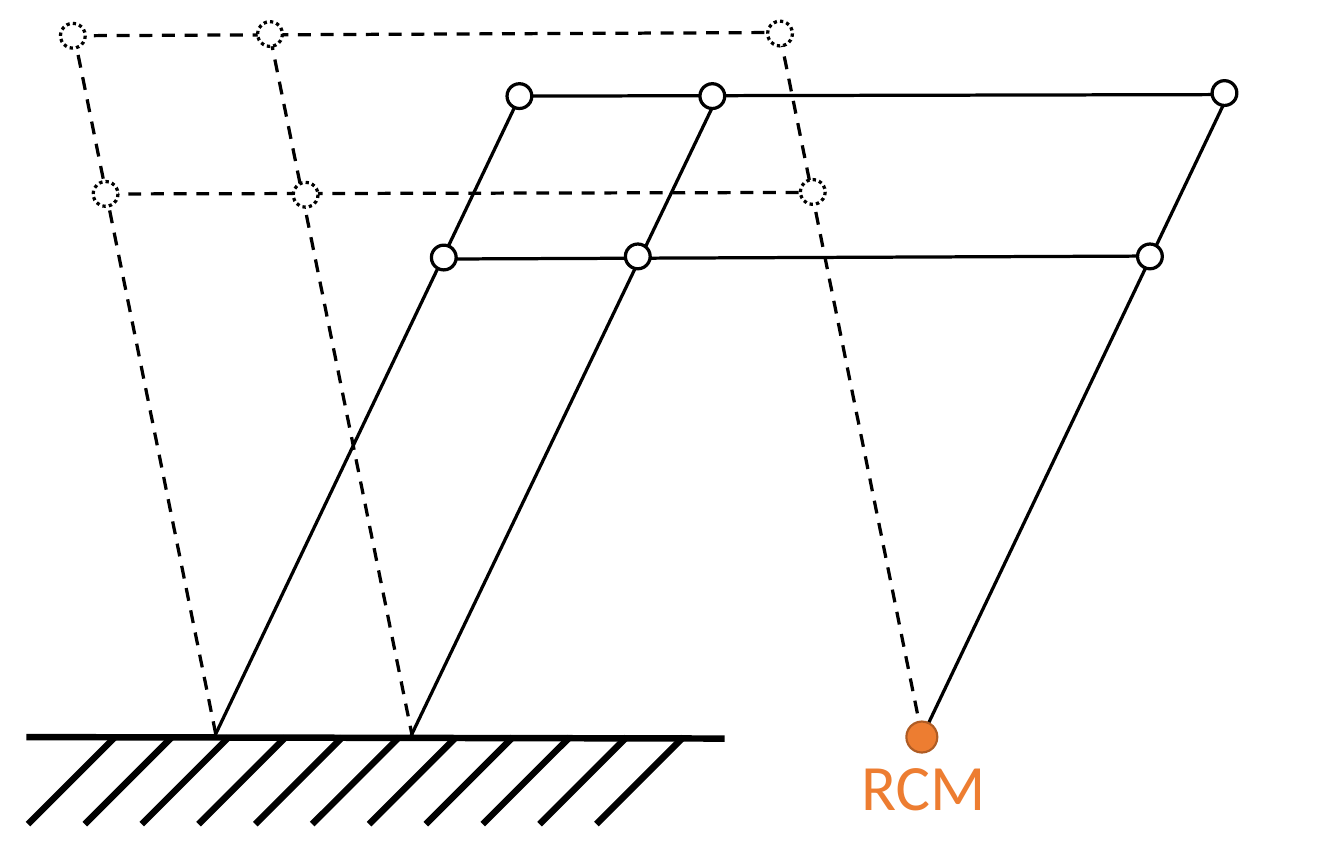
from dataclasses import dataclass

from lxml.etree import SubElement
from pptx import Presentation
from pptx.dml.color import RGBColor as RGB
from pptx.enum.dml import MSO_LINE_DASH_STYLE as DASH
from pptx.enum.shapes import MSO_CONNECTOR as CONN, MSO_SHAPE as SHAPE
from pptx.enum.text import MSO_AUTO_SIZE as FIT
from pptx.oxml.ns import qn
from pptx.util import Pt


@dataclass(frozen=True)
class Theme:
    ink: RGB = RGB(0, 0, 0)
    paper: RGB = RGB(0xFF, 0xFF, 0xFF)
    accent: RGB = RGB(0xED, 0x7D, 0x31)
    accent_edge: RGB = RGB(0xAF, 0x5C, 0x24)
    font: str = "Calibri"
    label: float = 30
    thin: float = 1
    bar: float = 1.5
    ground: float = 3


class Sketch:
    def __init__(self, slide, theme):
        self.s, self.t = slide, theme

    def stroke(self, line, color, width, dash=None):
        line.color.rgb = color
        for key, value in {"width": Pt(width), "dash_style": dash}.items():
            setattr(line, key, value)

    def line(self, x1, y1, x2, y2, width, dash=None):
        c = self.s.shapes.add_connector(CONN.STRAIGHT, Pt(x1), Pt(y1), Pt(x2), Pt(y2))
        self.stroke(c.line, self.t.ink, width, dash)
        SubElement(c._element.spPr, qn("a:effectLst"))

    def circle(self, cx, cy, d, fill, edge, width, dash=None):
        sp = self.s.shapes.add_shape(SHAPE.OVAL, Pt(cx - d / 2), Pt(cy - d / 2), Pt(d), Pt(d))
        sp.shadow.inherit = False
        sp.fill.solid()
        sp.fill.fore_color.rgb = fill
        self.stroke(sp.line, edge, width, dash)

    def text(self, x, y, w, h, words, size, color):
        tf = self.s.shapes.add_textbox(Pt(x), Pt(y), Pt(w), Pt(h)).text_frame
        for key, value in {"word_wrap": False, "auto_size": FIT.SHAPE_TO_FIT_TEXT}.items():
            setattr(tf, key, value)
        r = tf.paragraphs[0].add_run()
        r.text = words
        for key, value in {"name": self.t.font, "size": Pt(size)}.items():
            setattr(r.font, key, value)
        r.font.color.rgb = color


prs = Presentation()
prs.slide_width, prs.slide_height = Pt(623.5), Pt(396.7)
theme = Theme()
sketch = Sketch(prs.slides.add_slide(prs.slide_layouts[6]), theme)

JOINT, RCM_DOT = 11.5, 14.4
RCM_X, GROUND_Y = 427.7, 342

# Both poses of the linkage: bars as x1, y1, x2, y2 and joint centres
leaning_bars = [
    (99.4, 342, 241.2, 44.6), (190.1, 342.7, 332.6, 45.4), (RCM_X, 342, 569.5, 44.6),
    (241.2, 44.6, 570.2, 43.9), (205.2, 120.2, 533.5, 118.8),
]
leaning_joints = [
    (241, 44.6), (330.5, 44.6), (568.1, 43.2),
    (205.9, 119.5), (295.9, 119), (533.5, 119),
]
moved_bars = [
    (100.1, 340.6, 34.6, 17.3), (191.5, 342.7, 126, 20.2), (RCM_X, 341.3, 362.2, 18),
    (33.1, 16.6, 361.4, 15.1), (49, 90, 377.3, 89.3),
]
moved_joints = [
    (33.8, 16.6), (125.3, 15.8), (361.9, 15.6),
    (49, 90), (141.8, 90.4), (377.1, 89.1),
]
poses = [
    (leaning_bars, None, leaning_joints, None),
    (moved_bars, DASH.DASH, moved_joints, DASH.ROUND_DOT),
]

# Bars first, so that the joints cover their ends
for bars, bar_dash, _, _ in poses:
    for bar in bars:
        sketch.line(*bar, theme.bar, bar_dash)
for _, _, joints, joint_dash in poses:
    for joint in joints:
        sketch.circle(*joint, JOINT, theme.paper, theme.ink, theme.bar, joint_dash)

# Ground with evenly spaced hatching
HATCHES, HATCH_X, HATCH_STEP, HATCH_RUN = 11, 13, 26.37, 40.4
sketch.line(12.2, GROUND_Y, 336.2, GROUND_Y + 0.7, theme.ground)
for i in range(HATCHES):
    x = HATCH_X + i * HATCH_STEP
    sketch.line(x, GROUND_Y + HATCH_RUN, x + HATCH_RUN, GROUND_Y, theme.ground)

# Remote centre of motion
sketch.circle(RCM_X, GROUND_Y, RCM_DOT, theme.accent, theme.accent_edge, theme.thin)
sketch.text(392.4, 342.7, 72.7, 43.9, "RCM", theme.label, theme.accent)

prs.save("out.pptx")
